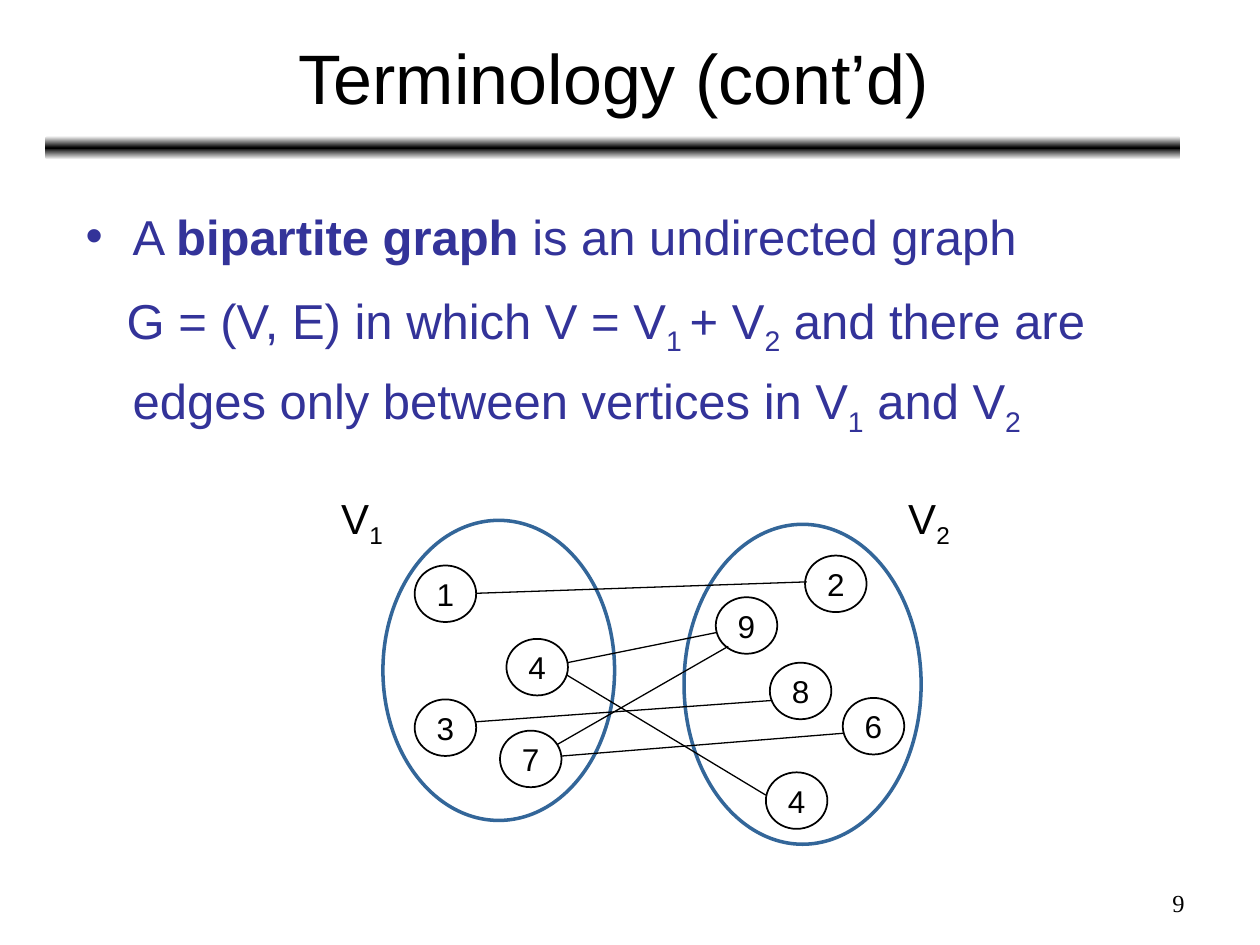
from lxml import etree
from pptx import Presentation
from pptx.dml.color import RGBColor
from pptx.enum.shapes import MSO_CONNECTOR, MSO_SHAPE
from pptx.enum.text import MSO_ANCHOR, MSO_AUTO_SIZE, PP_ALIGN
from pptx.oxml.ns import qn
from pptx.util import Cm, Pt

OVAL, ROUNDED = MSO_SHAPE.OVAL, MSO_SHAPE.ROUNDED_RECTANGLE
STRAIGHT = MSO_CONNECTOR.STRAIGHT
LEFT, CENTER, RIGHT = PP_ALIGN.LEFT, PP_ALIGN.CENTER, PP_ALIGN.RIGHT
MIDDLE, TOP = MSO_ANCHOR.MIDDLE, MSO_ANCHOR.TOP
NO_FIT = MSO_AUTO_SIZE.NONE
COLORS = {"black": "000000", "white": "FFFFFF", "body": "333399", "set": "336699"}


def rgb(name):
    return RGBColor.from_string(COLORS[name])


def add_text(p, text, size=28, color="black", font="Arial", align=LEFT):
    """Write text into p; *bold* and _subscript_ parts are marked."""
    p.alignment = align
    bold = sub = False
    for part in text.replace("*", "|*|").replace("_", "|_|").split("|"):
        if part == "*":
            bold = not bold
        elif part == "_":
            sub = not sub
        elif part:
            r = p.add_run()
            r.text = part
            r.font.size = Pt(size)
            r.font.name = font
            r.font.bold = bold
            r.font.color.rgb = rgb(color)
            if sub:
                r.font._element.set("baseline", "-25000")


prs = Presentation()
prs.slide_width, prs.slide_height = Cm(25.4), Cm(19.05)
slide = prs.slides.add_slide(prs.slide_layouts[1])
shapes = slide.shapes

# Gradient rule under the title
bar = shapes.add_shape(ROUNDED, Cm(0.91), Cm(2.74), Cm(22.89), Cm(0.48))
bar.shadow.inherit = False
bar.line.fill.background()
bar.fill.gradient()
bar.fill.gradient_angle = 90
stops = next(bar._element.iter(qn("a:gsLst")))
for gs in list(stops):
    stops.remove(gs)
for pos, name in ((0, "white"), (50, "black"), (100, "white")):
    gs = etree.SubElement(stops, qn("a:gs"), pos=str(pos * 1000))
    etree.SubElement(gs, qn("a:srgbClr"), val=COLORS[name])

# Title and body placeholders
title, body = shapes.title, slide.placeholders[1]
for sp, box, anchor in (
    (title, (0.94, 0.28, 22.86, 2.51), MIDDLE),
    (body, (1.47, 3.79, 22.28, 5.28), TOP),
):
    sp.left, sp.top, sp.width, sp.height = map(Cm, box)
    sp.text_frame.auto_size = NO_FIT
    sp.text_frame.vertical_anchor = anchor
add_text(title.text_frame.paragraphs[0], "Terminology (cont’d)", size=40, align=CENTER)

tf = body.text_frame
lines = [
    ("A *bipartite graph* is an undirected graph", "•", -0.95, 0),
    ("G = (V, E) in which V = V_1 _+ V_2_ and there are edges only "
     "between vertices in V_1_ and V_2_", None, -0.12, 7),
]
for i, (text, bullet, indent, before) in enumerate(lines):
    p = tf.add_paragraph() if i else tf.paragraphs[0]
    p.line_spacing = 1.2
    p.space_before = Pt(before)
    pPr = p._p.get_or_add_pPr()
    pPr.set("marL", str(Cm(0.95)))
    pPr.set("indent", str(Cm(indent)))
    if bullet:
        clr = etree.SubElement(pPr, qn("a:buClr"))
        etree.SubElement(clr, qn("a:srgbClr"), val=COLORS["body"])
        etree.SubElement(pPr, qn("a:buChar"), char=bullet)
    else:
        etree.SubElement(pPr, qn("a:buNone"))
    add_text(p, text, color="body")

# Vertices (label, left, top) and the two vertex sets (left, top, width, height)
nodes = [
    ("1", 8.36, 11.4), ("2", 16.23, 11.2), ("3", 8.36, 14.1),
    ("4", 15.44, 15.57), ("4", 10.21, 12.88), ("9", 14.43, 12.04),
    ("7", 10.08, 14.73), ("6", 16.99, 14.07), ("8", 15.52, 13.36),
]
ovals = [(label, (x, y, 1.24, 1.14), "black", 1) for label, x, y in nodes]
ovals += [
    ("", (7.72, 10.49, 4.67, 6.05), "set", 2),
    ("", (13.79, 10.57, 4.78, 6.45), "set", 2),
]
for label, box, color, width in ovals:
    sp = shapes.add_shape(OVAL, *map(Cm, box))
    sp.shadow.inherit = False
    sp.fill.background()
    sp.line.color.rgb = rgb(color)
    sp.line.width = Pt(width)
    if label:
        sp.text_frame.word_wrap = False
        sp.text_frame.vertical_anchor = MIDDLE
        add_text(sp.text_frame.paragraphs[0], label, size=18, align=CENTER)

# Edges between the sets (x1, y1, x2, y2)
edges = [
    (9.6, 11.96, 16.26, 11.73), (11.43, 13.61, 15.44, 16.03),
    (9.6, 14.55, 15.57, 14.12), (11.43, 13.36, 14.45, 12.75),
    (11.33, 15.24, 17.02, 14.78), (14.68, 13.03, 11.23, 15.01),
]
for ends in edges:
    line = shapes.add_connector(STRAIGHT, *map(Cm, ends))
    line.line.color.rgb = rgb("black")
    line.line.width = Pt(0.75)
    etree.SubElement(line._element.spPr, qn("a:effectLst"))

# Set labels and page number
captions = [
    ("V_1_", (6.63, 9.8, 1.35, 1.42), False, {"size": 24}),
    ("V_2_", (18.06, 9.8, 1.35, 1.42), False, {"size": 24}),
    ("9", (18.21, 17.78, 5.92, 0.89), True,
     {"size": 14, "font": "Times New Roman", "align": RIGHT}),
]
for text, box, wrap, fmt in captions:
    tb = shapes.add_textbox(*map(Cm, box))
    tb.text_frame.word_wrap = wrap
    add_text(tb.text_frame.paragraphs[0], text, **fmt)

prs.save("out.pptx")
